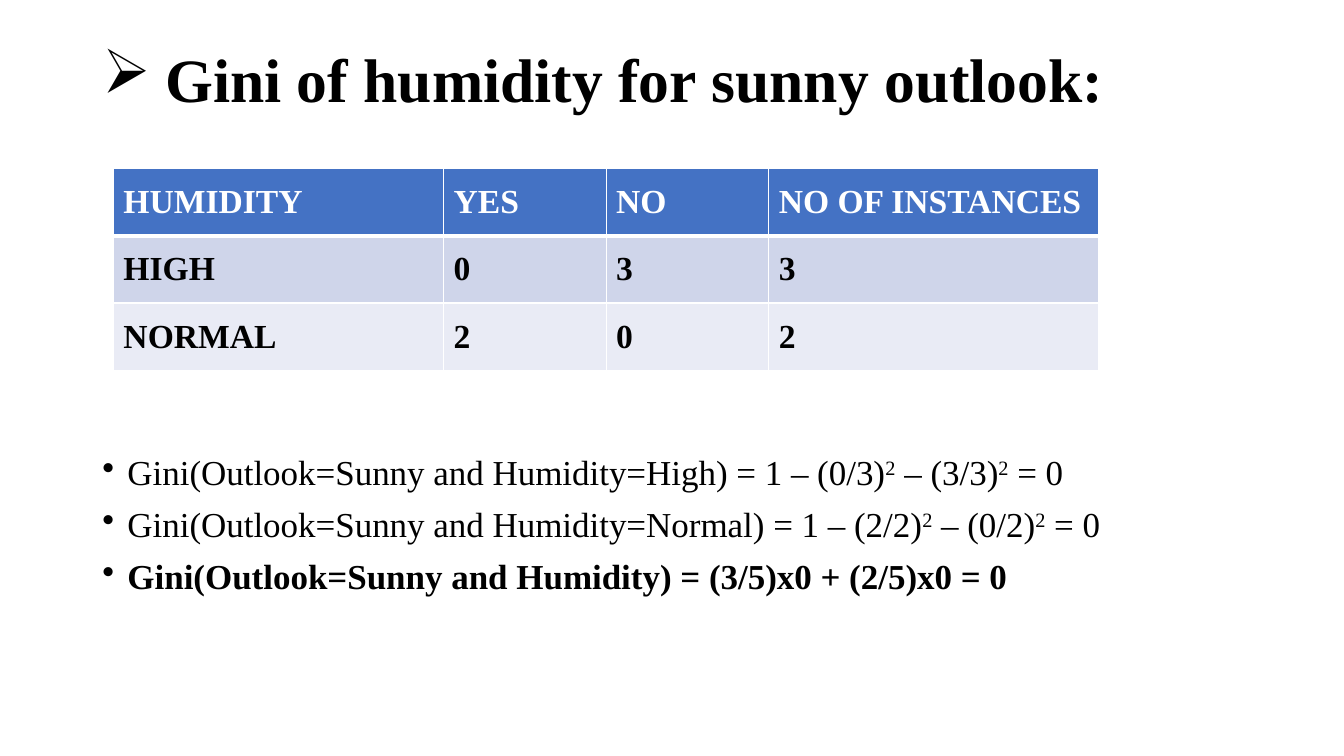
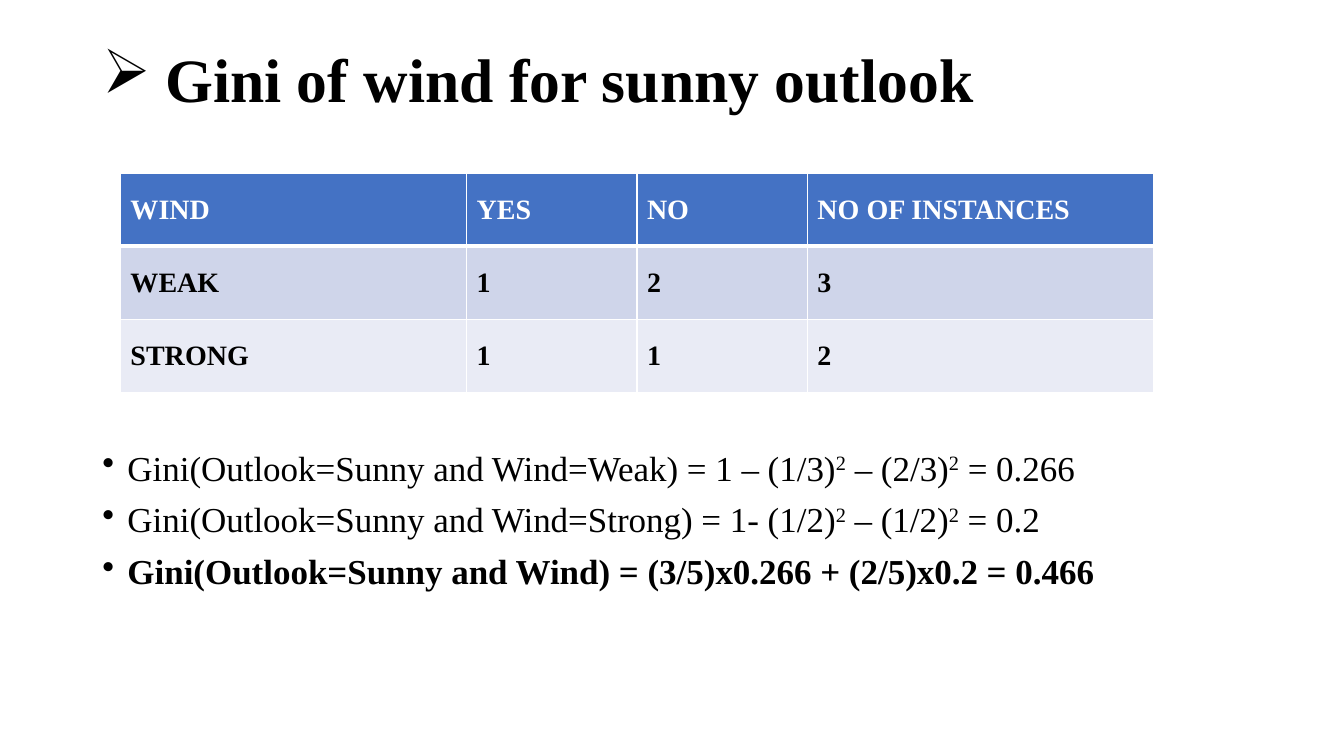
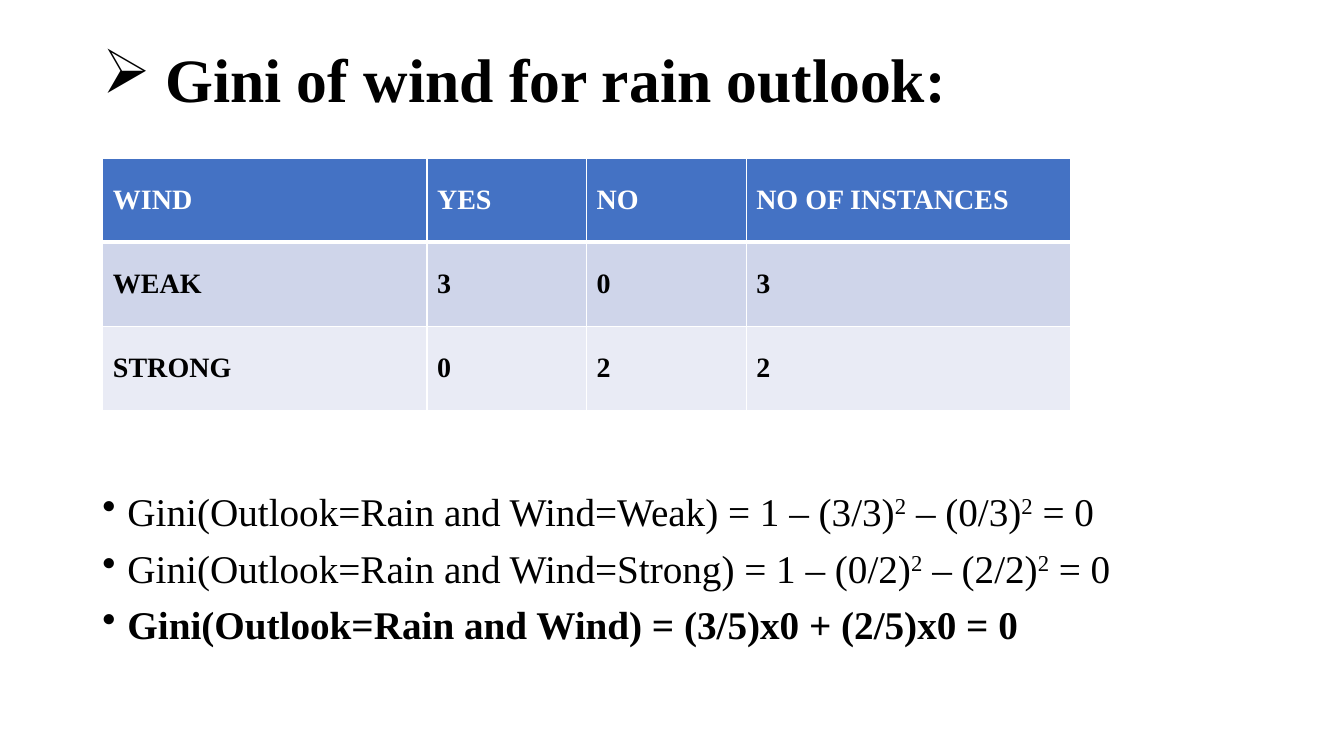
from lxml.etree import SubElement
from pptx import Presentation
from pptx.dml.color import RGBColor
from pptx.enum.text import MSO_ANCHOR as Anchor
from pptx.oxml import parse_xml
from pptx.oxml.ns import nsdecls, qn
from pptx.util import Pt


def color(value):
    return RGBColor.from_string(value)


class SlideWriter:
    FONT = "Times New Roman"
    TEXT, WHITE = "000000", "FFFFFF"
    ROW_FILLS = ("4472C4", "CFD5EA", "E9EBF5")
    COLUMN_SHARES = (0.335, 0.165, 0.165, 0.335)
    LEFT, WIDTH = 66, 828
    TITLE_TOP, TITLE_HEIGHT, TITLE_SIZE, TITLE_INDENT = 32, 98, 44, 45
    BODY_BOTTOM, BODY_INDENT = 486.5, 18

    def __init__(self):
        self.deck = Presentation()
        self.deck.slide_width, self.deck.slide_height = Pt(960), Pt(540)
        self.slide = None

    def new_slide(self):
        self.slide = self.deck.slides.add_slide(self.deck.slide_layouts[6])

    def run(self, para, text, size, bold=False, fill=TEXT, raised=False):
        span = para.add_run()
        span.text = text
        font = span.font
        font.name, font.size, font.bold = self.FONT, Pt(size), bold
        font.color.rgb = color(fill)
        if raised:
            span._r.get_or_add_rPr().set("baseline", "30000")

    def frame(self, top, height):
        box = self.slide.shapes.add_textbox(Pt(self.LEFT), Pt(top), Pt(self.WIDTH), Pt(height))
        box.text_frame.word_wrap = True
        return box.text_frame

    def bullet(self, para, mark, indent):
        para.line_spacing = 0.9
        properties = para._p.get_or_add_pPr()
        properties.set("marL", str(Pt(indent)))
        properties.set("indent", str(-Pt(indent)))
        SubElement(properties, qn("a:buChar")).set("char", mark)

    def title(self, text):
        para = self.frame(self.TITLE_TOP, self.TITLE_HEIGHT).paragraphs[0]
        self.bullet(para, "➢", self.TITLE_INDENT)
        self.run(para, text, self.TITLE_SIZE, bold=True)

    def formulas(self, lines, top, size):
        frame = self.frame(top, self.BODY_BOTTOM - top)
        for index, line in enumerate(lines):
            para = frame.add_paragraph() if index else frame.paragraphs[0]
            para.space_before = Pt(10)
            self.bullet(para, "•", self.BODY_INDENT)
            is_result = index == len(lines) - 1
            for part, text in enumerate(line.split("^")):
                self.run(para, text, size, bold=is_result, raised=part % 2 == 1)

    def borders(self, cell, top, bottom):
        properties = cell._tc.get_or_add_tcPr()
        widths = {"lnL": 1, "lnR": 1, "lnT": top, "lnB": bottom}
        for position, (side, width) in enumerate(widths.items()):
            properties.insert(position, parse_xml(
                f'<a:{side} {nsdecls("a")} w="{Pt(width)}"><a:solidFill>'
                f'<a:srgbClr val="{self.WHITE}"/></a:solidFill></a:{side}>'))

    def table(self, rows, left, top, width, row_height, size):
        table = self.slide.shapes.add_table(
            len(rows), len(self.COLUMN_SHARES), Pt(left), Pt(top),
            Pt(width), Pt(row_height * len(rows))).table
        for column, share in zip(table.columns, self.COLUMN_SHARES):
            column.width = Pt(width * share)
        for row_index, values in enumerate(rows):
            table.rows[row_index].height = Pt(row_height)
            for column_index, value in enumerate(values):
                cell = table.cell(row_index, column_index)
                cell.vertical_anchor = Anchor.MIDDLE
                cell.margin_top = cell.margin_bottom = Pt(7.2)
                cell.fill.solid()
                cell.fill.fore_color.rgb = color(self.ROW_FILLS[row_index])
                self.borders(cell, top=3 if row_index == 1 else 1,
                             bottom=3 if row_index == 0 else 1)
                self.run(cell.text_frame.paragraphs[0], value, size, bold=True,
                         fill=self.TEXT if row_index else self.WHITE)


COUNTS = ("YES", "NO", "NO OF INSTANCES")

SLIDES = [
    dict(
        title="Gini of humidity for sunny outlook:",
        formulas=dict(top=322, size=25, lines=[
            "Gini(Outlook=Sunny and Humidity=High) = 1 – (0/3)^2^ – (3/3)^2^ = 0",
            "Gini(Outlook=Sunny and Humidity=Normal) = 1 – (2/2)^2^ – (0/2)^2^ = 0",
            "Gini(Outlook=Sunny and Humidity) = (3/5)x0 + (2/5)x0 = 0",
        ]),
        table=dict(left=81, top=120.5, width=704, row_height=48, size=24, rows=[
            ("HUMIDITY", *COUNTS),
            ("HIGH", "0", "3", "3"),
            ("NORMAL", "2", "0", "2"),
        ]),
    ),
    dict(
        title="Gini of wind for sunny outlook",
        formulas=dict(top=318.5, size=25, lines=[
            "Gini(Outlook=Sunny and Wind=Weak) = 1 – (1/3)^2^ – (2/3)^2^ = 0.266",
            "Gini(Outlook=Sunny and Wind=Strong) = 1- (1/2)^2^ – (1/2)^2^ = 0.2",
            "Gini(Outlook=Sunny and Wind) = (3/5)x0.266 + (2/5)x0.2 = 0.466",
        ]),
        table=dict(left=86, top=123.5, width=738, row_height=52.3, size=20, rows=[
            ("WIND", *COUNTS),
            ("WEAK", "1", "2", "3"),
            ("STRONG", "1", "1", "2"),
        ]),
    ),
    dict(
        title="Gini of wind for rain outlook:",
        formulas=dict(top=348.5, size=28, lines=[
            "Gini(Outlook=Rain and Wind=Weak) = 1 – (3/3)^2^ – (0/3)^2^ = 0",
            "Gini(Outlook=Rain and Wind=Strong) = 1 – (0/2)^2^ – (2/2)^2^ = 0",
            "Gini(Outlook=Rain and Wind) = (3/5)x0 + (2/5)x0 = 0",
        ]),
        table=dict(left=73.5, top=113, width=691, row_height=60, size=20, rows=[
            ("WIND", *COUNTS),
            ("WEAK", "3", "0", "3"),
            ("STRONG", "0", "2", "2"),
        ]),
    ),
]


def main():
    writer = SlideWriter()
    for content in SLIDES:
        writer.new_slide()
        writer.title(content["title"])
        writer.formulas(**content["formulas"])
        writer.table(**content["table"])
    writer.deck.save("out.pptx")


if __name__ == "__main__":
    main()
